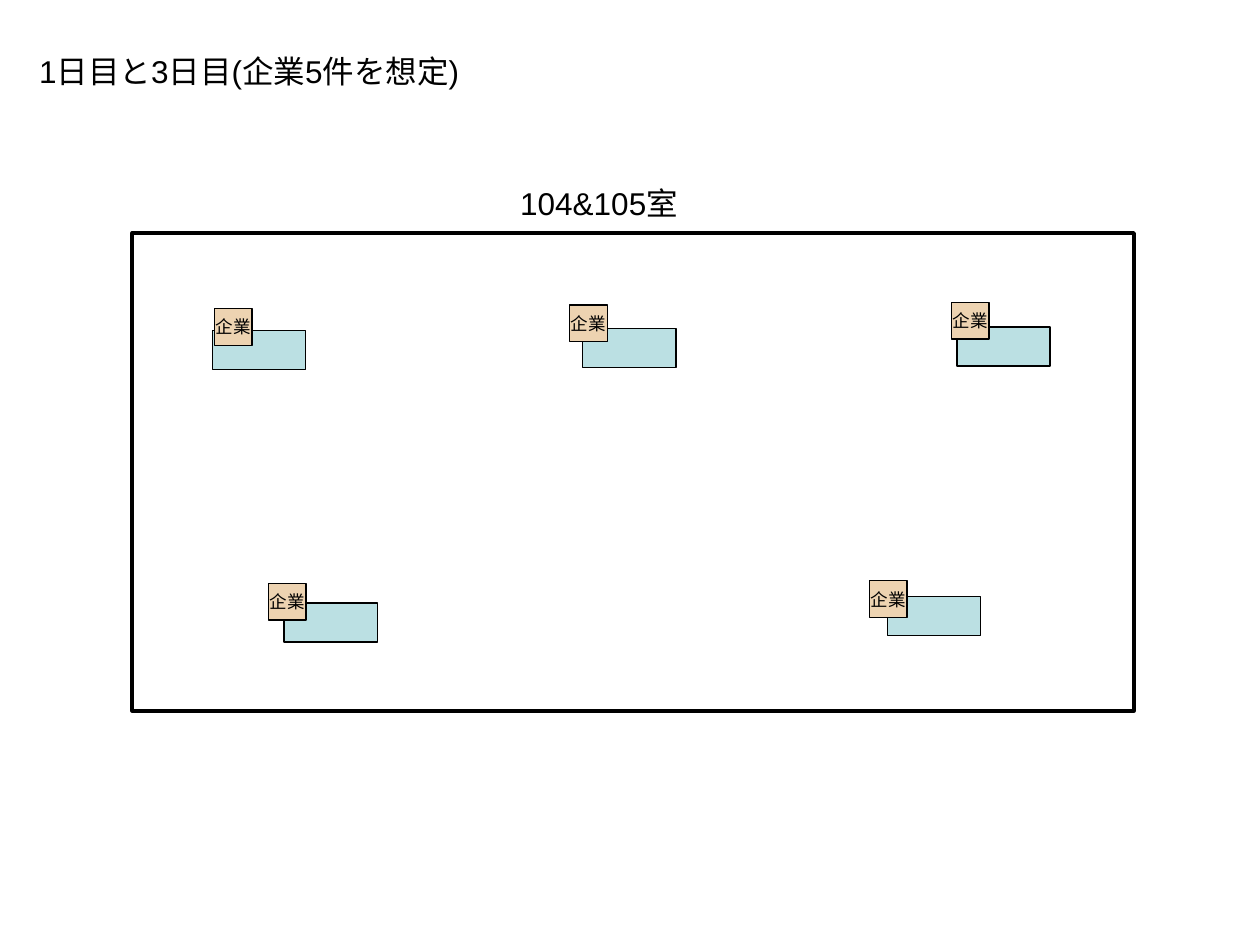
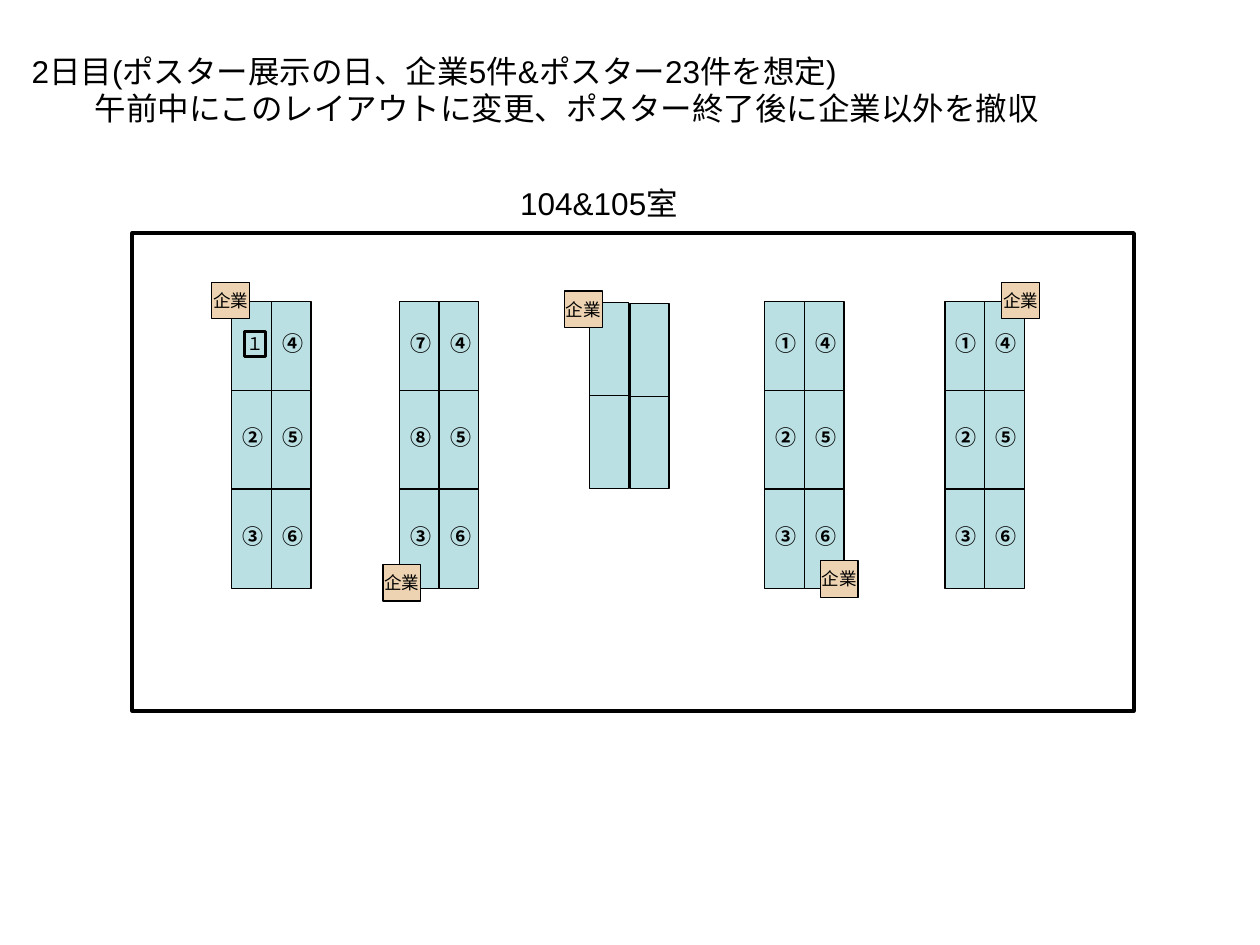
from pptx import Presentation
from pptx import util as u
from pptx.dml.color import RGBColor
from pptx.enum import shapes, text
from lxml import etree

ROOM = (1.05, 1.85, 7.95, 3.79)
ROOM_NAME = ("104&105室", (4.03, 1.41, 1.51, 0.4))
TAG, TAG_SIZE = "企業", (0.3, 0.29)
DESK_SIZE = (0.31, 0.74)
BLOCK_W, BLOCK_TOP = 0.63, 2.39
ROW_EDGES = (0, 0.71, 1.49, 2.28)
NUMBER_SIZE = (0.14, 0.2)

DAYS = [
    {
        "title": ["1日目と3日目(企業5件を想定)"],
        "title_at": (0.21, 0.36, 4.01, 0.4),
        "desks": [(1.9, 2.41), (7.81, 2.38), (7.26, 4.52), (2.47, 4.57), (4.84, 2.39)],
        "turn": 270,
        "blocks": [],
        "boxed": [],
        "tags": [(1.7, 2.45), (4.52, 2.42), (7.55, 2.4), (2.13, 4.63), (6.9, 4.61)],
    },
    {
        "title": ["2日目(ポスター展示の日、企業5件&ポスター23件を想定)",
                  "午前中にこのレイアウトに変更、ポスター終了後に企業以外を撤収"],
        "title_at": (0.15, 0.36, 8.2, 0.7),
        "desks": [(4.68, 2.4), (4.68, 3.14), (5, 3.14), (5, 2.41)],
        "turn": 0,
        "blocks": [
            (1.84, ["", "②", "③", "④", "⑤", "⑥"]),
            (3.17, ["⑦", "⑧", "③", "④", "⑤", "⑥"]),
            (6.07, ["①", "②", "③", "④", "⑤", "⑥"]),
            (7.5, ["①", "②", "③", "④", "⑤", "⑥"]),
        ],
        "boxed": [("１", (1.94, 2.63, 0.17, 0.2))],
        "tags": [(1.68, 2.24), (3.04, 4.48), (4.48, 2.31), (6.51, 4.45), (7.95, 2.24)],
    },
]

INK, DESK_FILL, TAG_FILL = "000000", "BBE0E3", "EDD3B1"
LATIN, CJK = "Arial", "Noto Sans CJK JP"
A = "{http://schemas.openxmlformats.org/drawingml/2006/main}"
ALIGN, ANCHOR = text.PP_ALIGN, text.MSO_ANCHOR
HEADING = {"size": u.Pt(18), "name": LATIN, "bold": False}
SMALL = {"size": u.Pt(10), "name": LATIN, "bold": False}
NUMBER = {"size": u.Pt(12), "name": CJK, "bold": True}


def color(value):
    return RGBColor.from_string(value)


def inches(values):
    return [u.Inches(v) for v in values]


def write(sp, lines, fmt, align=ALIGN.LEFT, anchor=ANCHOR.TOP, pad=(0.1, 0.05), grow=True):
    tf = sp.text_frame
    fit = text.MSO_AUTO_SIZE.SHAPE_TO_FIT_TEXT if grow else text.MSO_AUTO_SIZE.NONE
    frame = {"word_wrap": False, "auto_size": fit, "vertical_anchor": anchor,
             "margin_left": u.Inches(pad[0]), "margin_right": u.Inches(pad[0]),
             "margin_top": u.Inches(pad[1]), "margin_bottom": u.Inches(pad[1])}
    for key, value in frame.items():
        setattr(tf, key, value)
    for i, line in enumerate(lines):
        p = tf.add_paragraph() if i else tf.paragraphs[0]
        p.alignment = align
        if i:
            p._p.get_or_add_pPr().set("marL", str(2 * fmt["size"]))
        r = p.add_run()
        r.text = line
        for key, value in fmt.items():
            setattr(r.font, key, value)
        r.font.color.rgb = color(INK)
        etree.SubElement(r._r.get_or_add_rPr(), A + "ea").set("typeface", CJK)


def add_text(parent, line, at, fmt, **layout):
    write(parent.add_textbox(*inches(at)), [line], fmt, **layout)


def add_box(parent, at, fill=None, width=0.75, label=None):
    sp = parent.add_shape(shapes.MSO_SHAPE.RECTANGLE, *inches(at))
    sp.shadow.inherit = False
    if fill:
        sp.fill.solid()
        sp.fill.fore_color.rgb = color(fill)
    else:
        sp.fill.background()
    sp.line.color.rgb = color(INK)
    sp.line.width = u.Pt(width)
    if label:
        write(sp, [label], SMALL, ALIGN.CENTER, ANCHOR.MIDDLE, grow=False)
    return sp


def add_line(parent, ends):
    line = parent.add_connector(shapes.MSO_CONNECTOR.STRAIGHT, *inches(ends))
    line.line.color.rgb = color(INK)
    line.line.width = u.Pt(0.75)
    etree.SubElement(line._element.spPr, A + "effectLst")
    return line


def add_block(s, left, numbers):
    parent = s.shapes.add_group_shape().shapes
    height, rows = ROW_EDGES[-1], len(ROW_EDGES) - 1
    sp = add_box(parent, (left, BLOCK_TOP, BLOCK_W, height), DESK_FILL)
    middle = left + BLOCK_W / 2
    divider = add_line(parent, (middle, BLOCK_TOP, middle, BLOCK_TOP + height))
    divider.begin_connect(sp, 0)
    divider.end_connect(sp, 2)
    for edge in ROW_EDGES[1:-1]:
        y = BLOCK_TOP + edge
        add_line(parent, (left, y, left + BLOCK_W, y))
    w, h = NUMBER_SIZE
    for i, number in enumerate(numbers):
        if number:
            col, row = divmod(i, rows)
            x = left + (col + 0.5) * BLOCK_W / 2 - w / 2
            y = BLOCK_TOP + (ROW_EDGES[row] + ROW_EDGES[row + 1]) / 2 - h / 2 - 0.02
            add_text(parent, number, (x, y, w, h), NUMBER, align=ALIGN.CENTER, pad=(0, 0))


def add_day(prs, day):
    s = prs.slides.add_slide(prs.slide_layouts[5])
    title = s.shapes.title
    title.left, title.top, title.width, title.height = inches(day["title_at"])
    write(title, day["title"], HEADING)
    add_box(s.shapes, ROOM, width=2.25)
    for left, numbers in day["blocks"]:
        add_block(s, left, numbers)
    for desk in day["desks"]:
        add_box(s.shapes, desk + DESK_SIZE, DESK_FILL).rotation = day["turn"]
    for label, at in day["boxed"]:
        add_box(s.shapes, at, DESK_FILL, 1.5, label)
    for tag in day["tags"]:
        add_box(s.shapes, tag + TAG_SIZE, TAG_FILL, label=TAG)
    add_text(s.shapes, *ROOM_NAME, HEADING)


def main():
    prs = Presentation()
    prs.slide_width, prs.slide_height = inches((10, 7.5))
    for day in DAYS:
        add_day(prs, day)
    prs.save("out.pptx")


if __name__ == "__main__":
    main()
